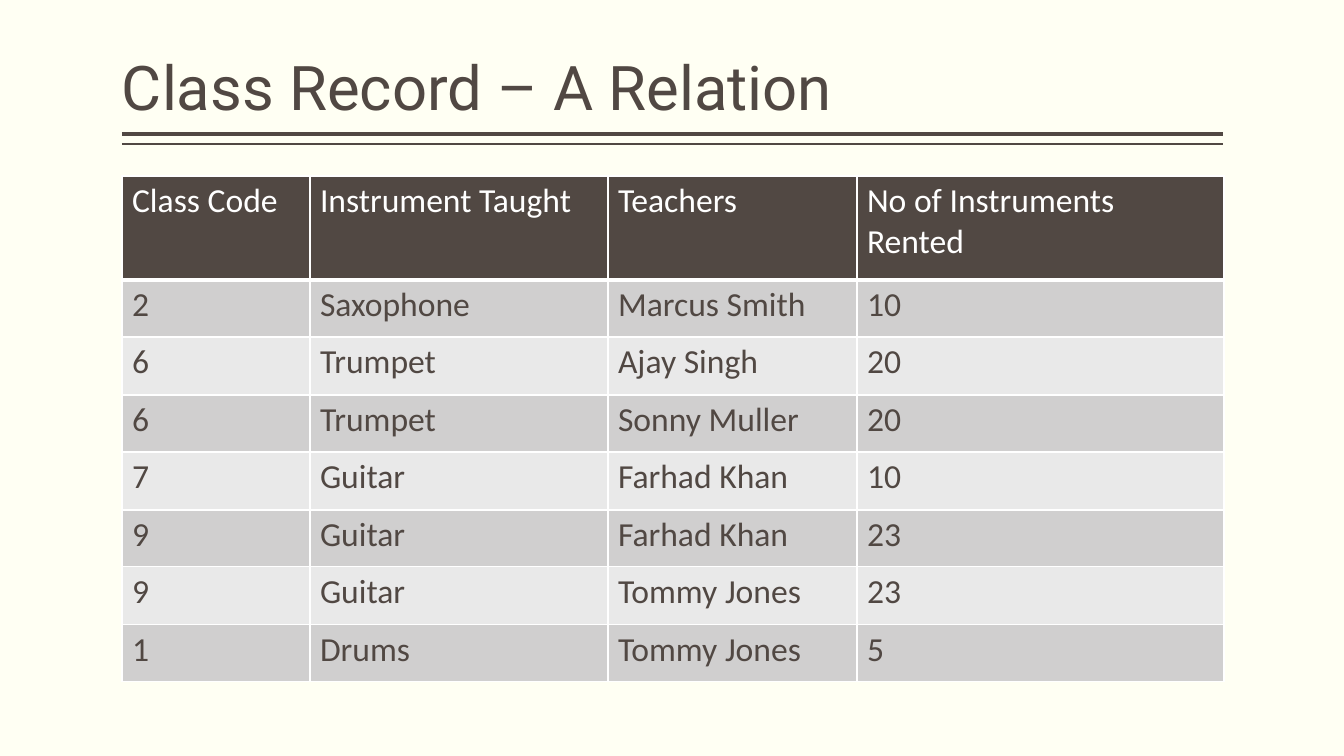
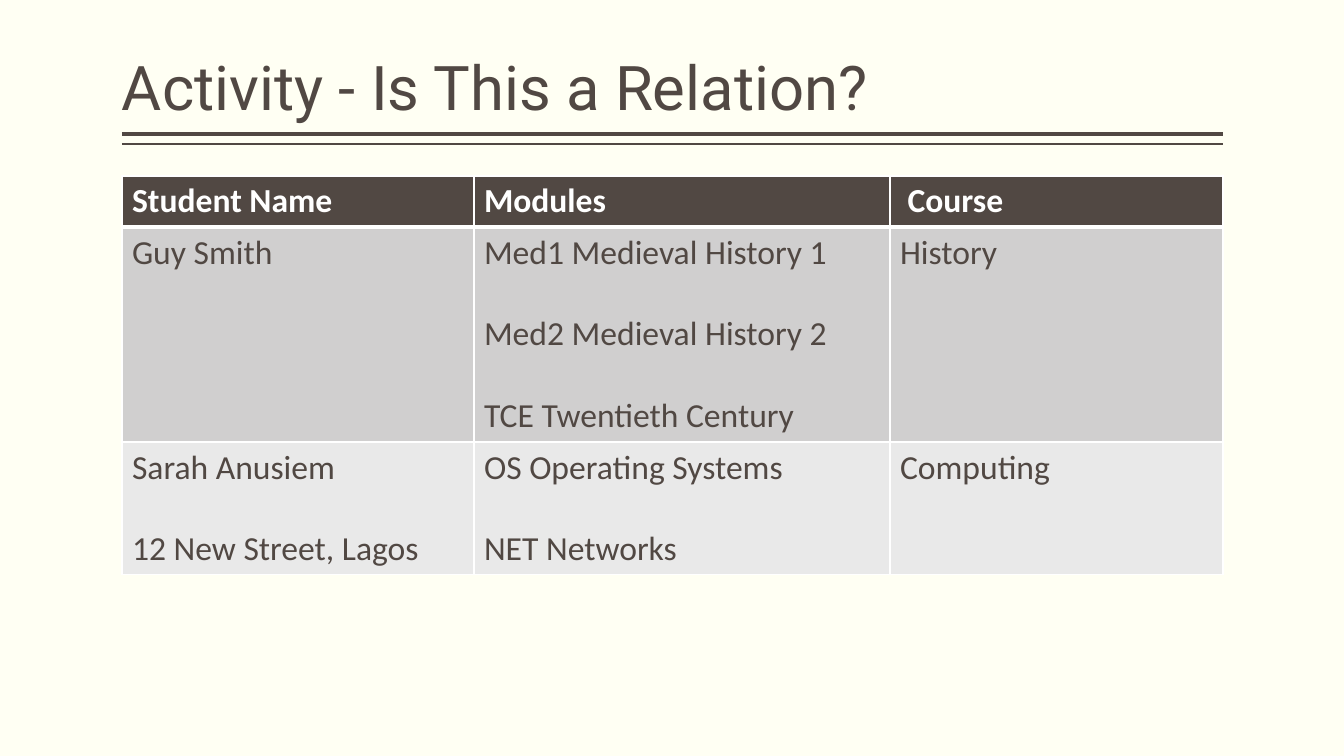
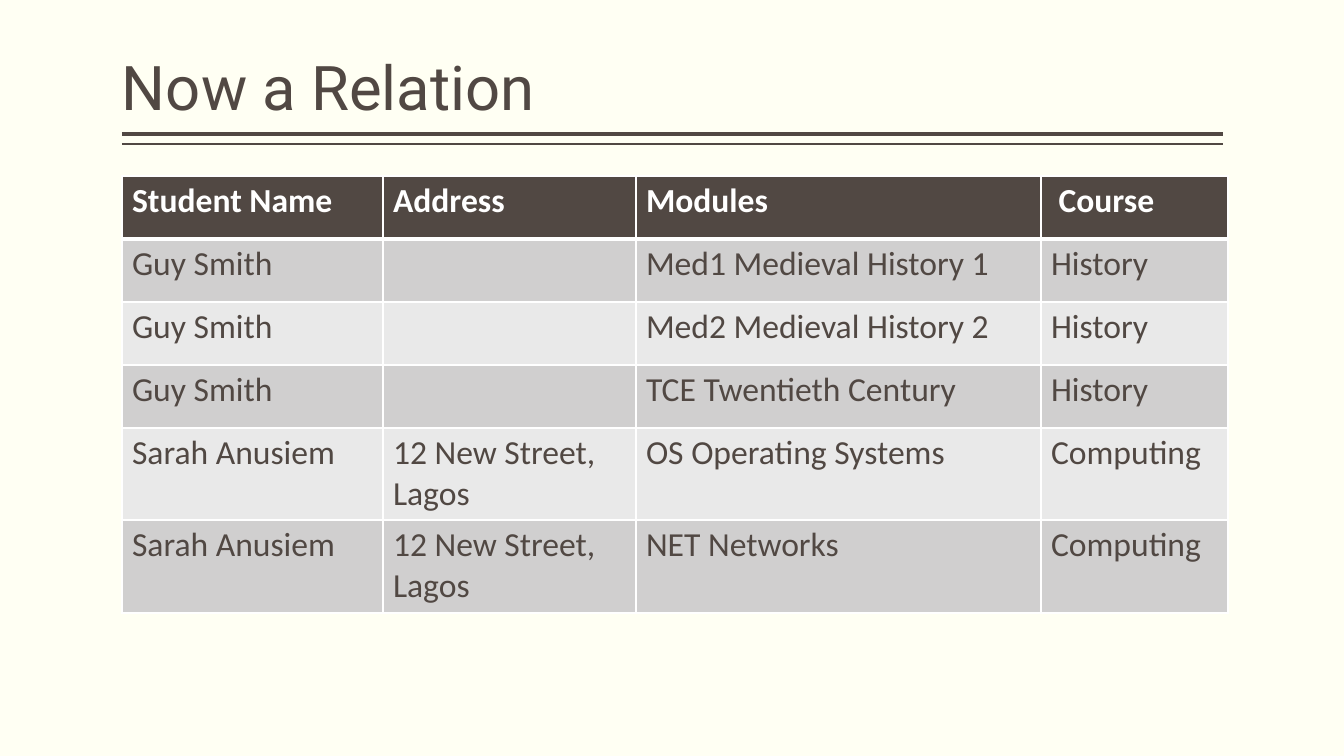
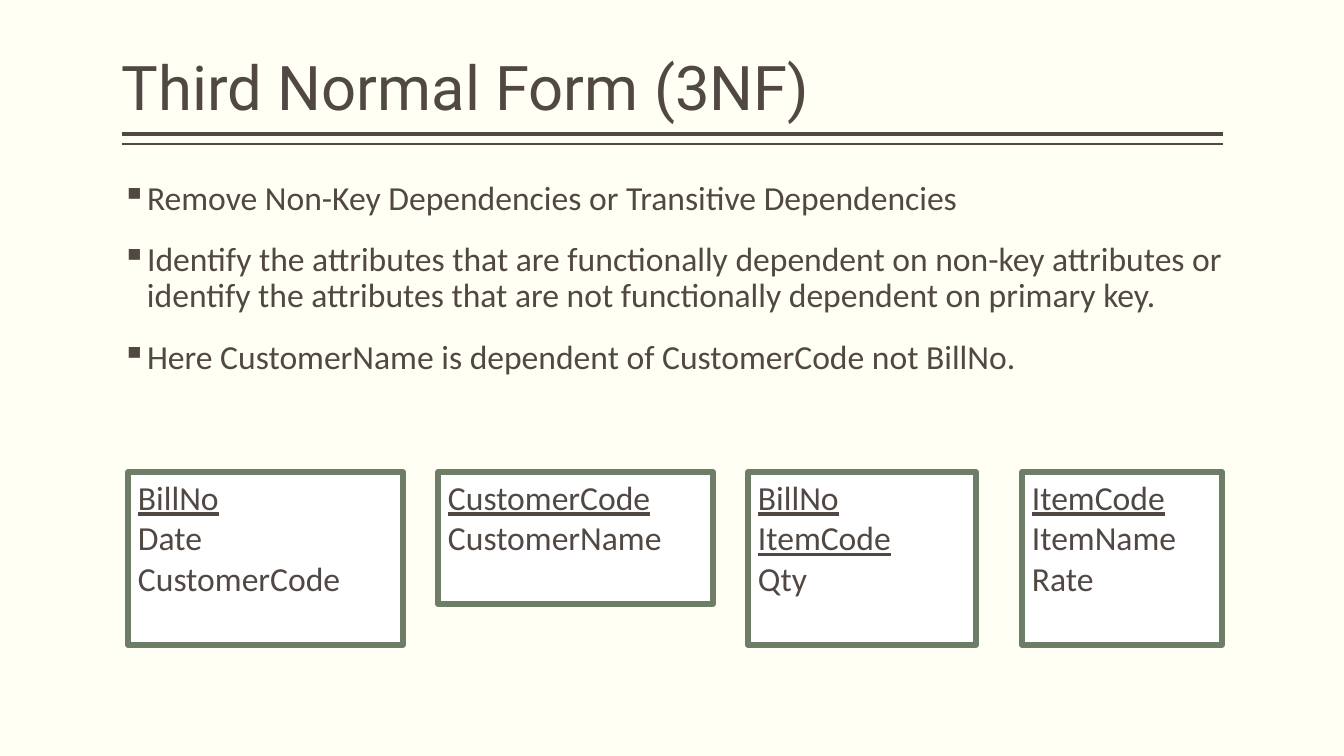
from dataclasses import dataclass

import pptx
import pptx.dml.color
import pptx.enum.shapes
import pptx.enum.text
import pptx.oxml
import pptx.oxml.ns
import pptx.presentation
import pptx.slide
import pptx.table
import pptx.text.text
import pptx.util

RGBColor = pptx.dml.color.RGBColor
Pt = pptx.util.Pt

# Shared look
IVORY = RGBColor(0xFF, 0xFF, 0xF3)
BROWN = RGBColor(0x51, 0x48, 0x43)
WHITE = RGBColor(0xFF, 0xFF, 0xFF)
GREEN = RGBColor(0x6D, 0x7D, 0x66)
BANDS = (RGBColor(0xD0, 0xCF, 0xCF), RGBColor(0xE9, 0xE9, 0xE9))
TITLE_FONT, BODY_FONT = "Roboto", "Calibri"
TITLE_SIZE, BODY_SIZE = 44, 24

SLIDE_WIDTH, SLIDE_HEIGHT = 1344, 756
EMU_PER_PX = 12192000 / SLIDE_WIDTH
LEFT, CONTENT_TOP, CONTENT_WIDTH = 122, 176, 1101
INSET = 5
BULLET_INDENT = 25
TITLE_ONLY = 5


@dataclass(frozen=True)
class Rule:
    top: int
    weight: int


@dataclass(frozen=True)
class TableSlide:
    title: str
    columns: tuple[int, ...]
    rows: tuple[int, ...]
    cells: tuple[tuple[str, ...], ...]
    bold_header: bool = True
    paragraph_gap: int = 0


@dataclass(frozen=True)
class EntityBox:
    left: int
    width: int
    height: int
    keys: tuple[str, ...]
    attributes: tuple[str, ...]


RULES = (Rule(134, 3), Rule(144, 1))

TABLE_SLIDES = (
    TableSlide(
        "Class Record – A Relation",
        (188, 298, 249, 367),
        (104, 57, 58, 57, 58, 57, 58, 57),
        (
            ("Class Code", "Instrument Taught", "Teachers", "No of Instruments Rented"),
            ("2", "Saxophone", "Marcus Smith", "10"),
            ("6", "Trumpet", "Ajay Singh", "20"),
            ("6", "Trumpet", "Sonny Muller", "20"),
            ("7", "Guitar", "Farhad Khan", "10"),
            ("9", "Guitar", "Farhad Khan", "23"),
            ("9", "Guitar", "Tommy Jones", "23"),
            ("1", "Drums", "Tommy Jones", "5"),
        ),
        bold_header=False,
    ),
    TableSlide(
        "Activity - Is This a Relation?",
        (352, 416, 333),
        (51, 215, 132),
        (
            ("Student Name", "Modules", " Course"),
            (
                "Guy Smith",
                "Med1 Medieval History 1\nMed2 Medieval History 2\nTCE Twentieth Century",
                "History",
            ),
            (
                "Sarah Anusiem\n12 New Street, Lagos",
                "OS Operating Systems\nNET Networks",
                "Computing",
            ),
        ),
        paragraph_gap=29,
    ),
    TableSlide(
        "Now a Relation",
        (261, 253, 405, 187),
        (63, 63, 63, 63, 92, 93),
        (
            ("Student Name", "Address", "Modules", " Course"),
            ("Guy Smith", "", "Med1 Medieval History 1", "History"),
            ("Guy Smith", "", "Med2 Medieval History 2", "History"),
            ("Guy Smith", "", "TCE Twentieth Century", "History"),
            ("Sarah Anusiem", "12 New Street,\nLagos", "OS Operating Systems", "Computing"),
            ("Sarah Anusiem", "12 New Street,\nLagos", "NET Networks", "Computing"),
        ),
    ),
)

BULLETS = (
    "Remove Non-Key Dependencies or Transitive Dependencies",
    "Identify the attributes that are functionally dependent on non-key attributes "
    "or identify the attributes that are not functionally dependent on primary key.",
    "Here CustomerName is dependent of CustomerCode not BillNo.",
)

ENTITY_TOP = 472
ENTITIES = (
    EntityBox(128, 275, 173, ("BillNo",), ("Date", "CustomerCode")),
    EntityBox(438, 275, 132, ("CustomerCode",), ("CustomerName",)),
    EntityBox(748, 228, 173, ("BillNo", "ItemCode"), ("Qty",)),
    EntityBox(1022, 200, 173, ("ItemCode",), ("ItemName", "Rate")),
)


def px(length: int) -> pptx.util.Emu:
    return pptx.util.Emu(round(length * EMU_PER_PX))


def style_paragraph(
    paragraph: pptx.text.text._Paragraph,
    color: RGBColor = BROWN,
    font_name: str = BODY_FONT,
    size: int = BODY_SIZE,
    bold: bool = False,
    underline: bool = False,
) -> None:
    paragraph.alignment = pptx.enum.text.PP_ALIGN.LEFT
    for run in paragraph.runs:
        run.font.name = font_name
        run.font.size = Pt(size)
        run.font.bold = bold
        run.font.underline = underline
        run.font.color.rgb = color


def set_frame(
    frame: pptx.text.text.TextFrame, anchor: pptx.enum.text.MSO_ANCHOR, side_inset: int
) -> None:
    frame.word_wrap = True
    frame.auto_size = pptx.enum.text.MSO_AUTO_SIZE.NONE
    frame.vertical_anchor = anchor
    frame.margin_left = frame.margin_right = px(side_inset)
    frame.margin_top = frame.margin_bottom = px(INSET)


def add_titled_slide(presentation: pptx.presentation.Presentation, text: str) -> pptx.slide.Slide:
    slide = presentation.slides.add_slide(presentation.slide_layouts[TITLE_ONLY])
    # Double rule under the title
    for rule in RULES:
        line = slide.shapes.add_connector(
            pptx.enum.shapes.MSO_CONNECTOR.STRAIGHT,
            px(LEFT), px(rule.top), px(LEFT + CONTENT_WIDTH), px(rule.top),
        )
        line.line.color.rgb = BROWN
        line.line.width = Pt(rule.weight)
        line._element.spPr.append(pptx.oxml.parse_xml(
            f"<a:effectLst {pptx.oxml.ns.nsdecls('a')}/>"
        ))
    # Title
    title = slide.shapes.title
    title.left, title.top = px(LEFT), px(8)
    title.width, title.height = px(CONTENT_WIDTH), px(121)
    set_frame(title.text_frame, pptx.enum.text.MSO_ANCHOR.BOTTOM, 0)
    title.text_frame.text = text
    paragraph = title.text_frame.paragraphs[0]
    paragraph.line_spacing = 0.9
    style_paragraph(paragraph, font_name=TITLE_FONT, size=TITLE_SIZE)
    return slide


def set_borders(cell: pptx.table._Cell, top: int, bottom: int) -> None:
    properties = cell._tc.get_or_add_tcPr()
    for side, weight in (("L", 1), ("R", 1), ("T", top), ("B", bottom)):
        properties.append(pptx.oxml.parse_xml(
            f"<a:ln{side} {pptx.oxml.ns.nsdecls('a')} w='{Pt(weight)}'>"
            f"<a:solidFill><a:srgbClr val='{WHITE}'/></a:solidFill></a:ln{side}>"
        ))


def add_table_slide(presentation: pptx.presentation.Presentation, content: TableSlide) -> None:
    slide = add_titled_slide(presentation, content.title)
    table = slide.shapes.add_table(
        len(content.rows), len(content.columns), px(LEFT), px(CONTENT_TOP),
        px(sum(content.columns)), px(sum(content.rows)),
    ).table
    table.horz_banding = False
    for column, width in zip(table.columns, content.columns):
        column.width = px(width)
    for row, height in zip(table.rows, content.rows):
        row.height = px(height)
    for row_index, texts in enumerate(content.cells):
        is_header = row_index == 0
        for column_index, text in enumerate(texts):
            cell = table.cell(row_index, column_index)
            set_borders(cell, top=3 if row_index == 1 else 1, bottom=3 if is_header else 1)
            cell.fill.solid()
            cell.fill.fore_color.rgb = BROWN if is_header else BANDS[(row_index - 1) % 2]
            cell.text_frame.text = text
            for index, paragraph in enumerate(cell.text_frame.paragraphs):
                if index:
                    paragraph.space_before = Pt(content.paragraph_gap)
                style_paragraph(
                    paragraph,
                    color=WHITE if is_header else BROWN,
                    bold=is_header and content.bold_header,
                )


def add_bullets(slide: pptx.slide.Slide, texts: tuple[str, ...]) -> None:
    box = slide.shapes.add_textbox(px(LEFT), px(CONTENT_TOP), px(CONTENT_WIDTH), px(240))
    frame = box.text_frame
    set_frame(frame, pptx.enum.text.MSO_ANCHOR.TOP, 0)
    frame.text = "\n".join(texts)
    for index, paragraph in enumerate(frame.paragraphs):
        properties = paragraph._p.get_or_add_pPr()
        properties.set("marL", str(px(BULLET_INDENT)))
        properties.set("indent", str(-px(BULLET_INDENT)))
        properties.append(pptx.oxml.parse_xml(
            f"<a:buChar {pptx.oxml.ns.nsdecls('a')} char='▪'/>"
        ))
        paragraph.line_spacing = 0.9
        paragraph.space_before = Pt(18 if index else 0)
        style_paragraph(paragraph)


def add_entity(slide: pptx.slide.Slide, entity: EntityBox) -> None:
    box = slide.shapes.add_shape(
        pptx.enum.shapes.MSO_SHAPE.RECTANGLE,
        px(entity.left), px(ENTITY_TOP), px(entity.width), px(entity.height),
    )
    box.shadow.inherit = False
    box.fill.solid()
    box.fill.fore_color.rgb = WHITE
    box.line.color.rgb = GREEN
    box.line.width = Pt(3.78)
    set_frame(box.text_frame, pptx.enum.text.MSO_ANCHOR.TOP, 10)
    box.text_frame.text = "\n".join(entity.keys + entity.attributes)
    for index, paragraph in enumerate(box.text_frame.paragraphs):
        style_paragraph(paragraph, underline=index < len(entity.keys))


def main() -> None:
    presentation = pptx.Presentation()
    presentation.slide_width = px(SLIDE_WIDTH)
    presentation.slide_height = px(SLIDE_HEIGHT)
    background = presentation.slide_master.background.fill
    background.solid()
    background.fore_color.rgb = IVORY

    # Relation tables
    for content in TABLE_SLIDES:
        add_table_slide(presentation, content)

    # Third normal form
    slide = add_titled_slide(presentation, "Third Normal Form (3NF)")
    add_bullets(slide, BULLETS)
    for entity in ENTITIES:
        add_entity(slide, entity)

    presentation.save("out.pptx")


if __name__ == "__main__":
    main()
